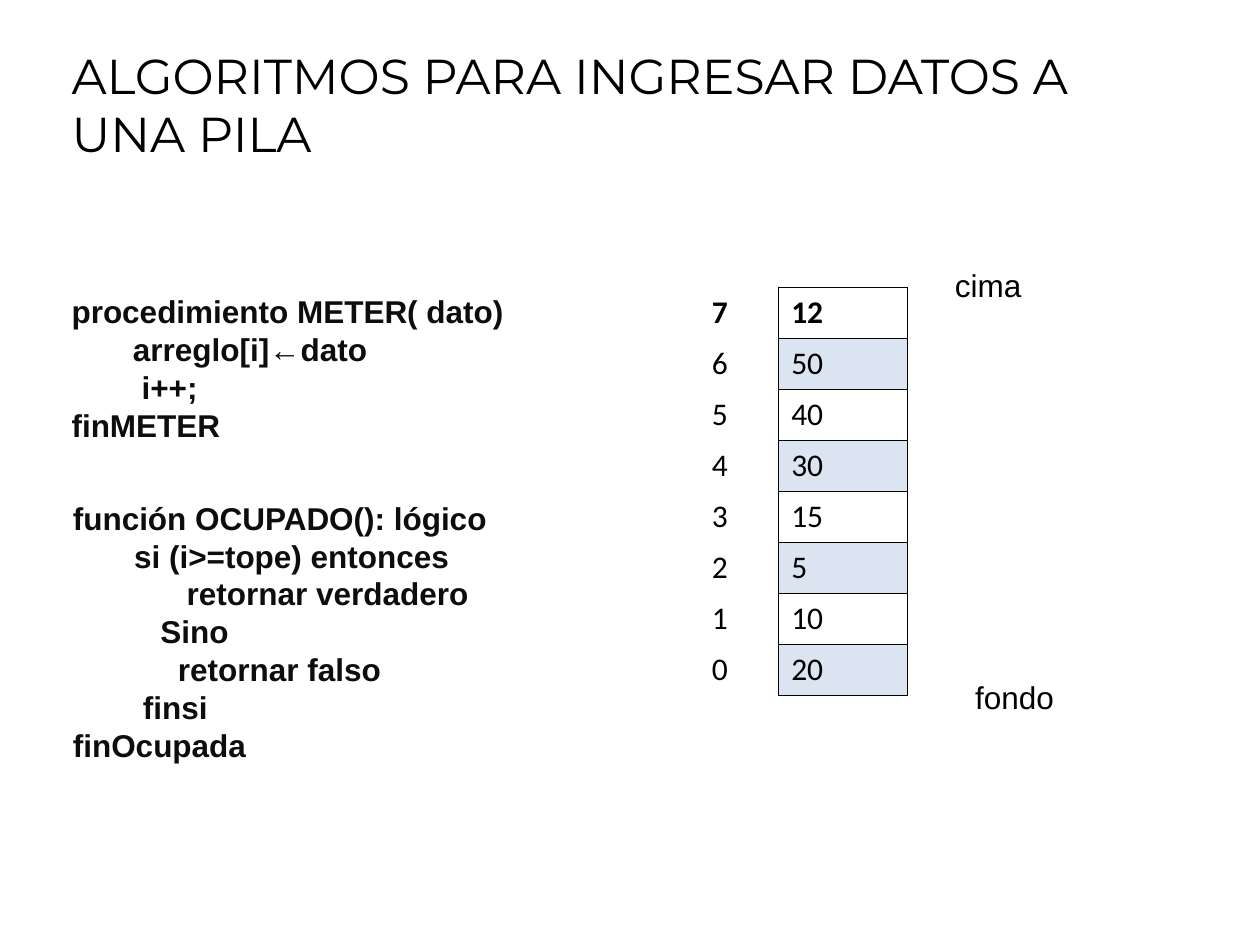
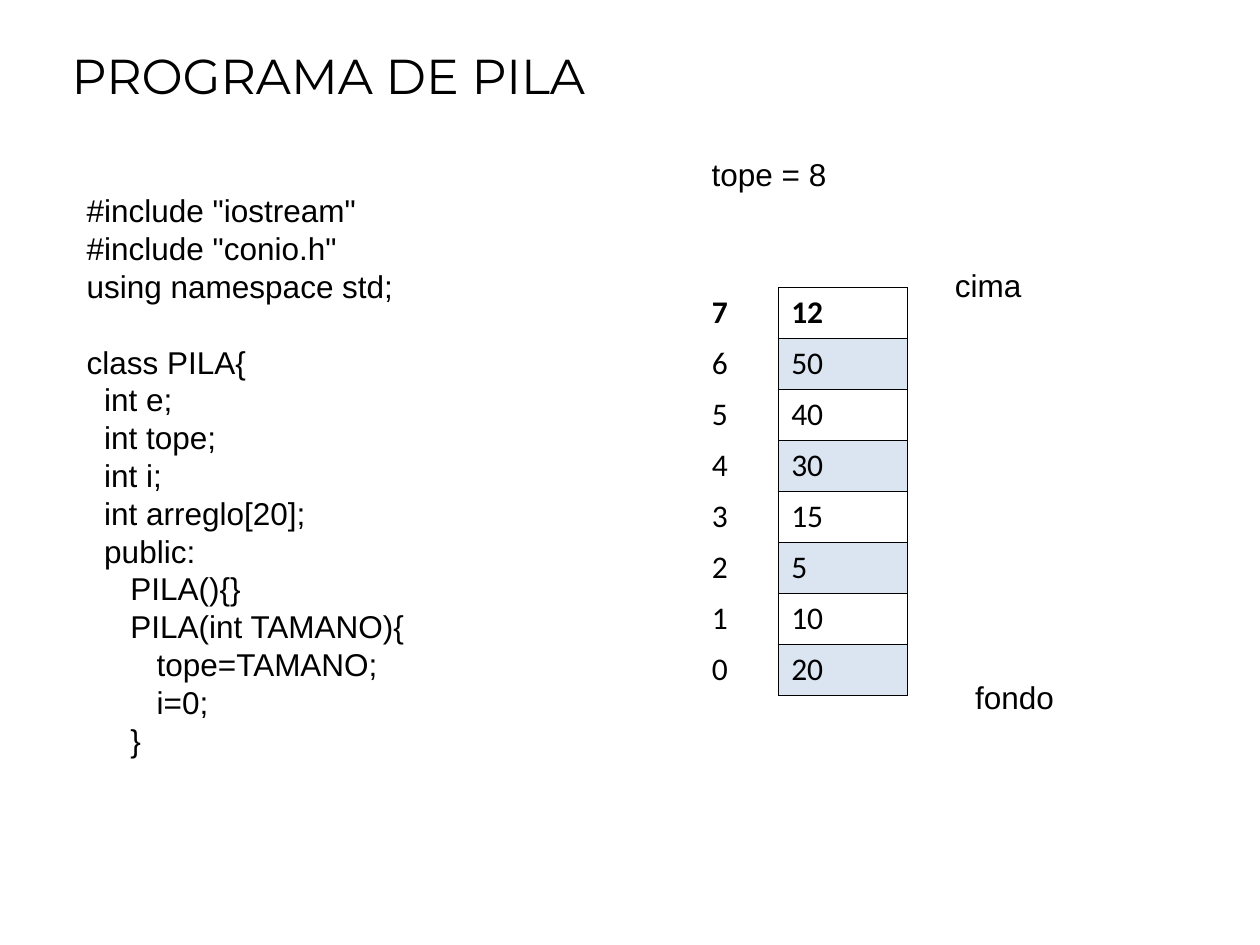
from lxml import etree
from pptx import Presentation
from pptx.dml.color import RGBColor
from pptx.enum.text import MSO_AUTO_SIZE
from pptx.oxml.ns import qn
from pptx.util import Emu, Pt

PX = 9144  # EMU per px, 100 px to the inch
FIT_SHAPE = MSO_AUTO_SIZE.SHAPE_TO_FIT_TEXT
COLORS = {"text": "000000", "code": "0D0D0D", "paper": "FFFFFF", "band": "4F81BD"}
BAND_ALPHA = 20000
BORDER = 5715  # EMU, 0.45 pt
SPACE_PT = 5  # one indent step in code, in points
STACK = [12, 50, 40, 30, 15, 5, 10, 20]  # top to bottom


def px(n):
    return Emu(n * PX)


class Deck:
    """Holds the style and the current slide."""

    def __init__(self):
        self.prs = Presentation()
        self.prs.slide_width, self.prs.slide_height = px(1000), px(750)
        self.s = None

    def slide(self, title, title_height):
        self.s = self.prs.slides.add_slide(self.prs.slide_layouts[6])
        fill = self.s.background.fill
        fill.solid()
        fill.fore_color.rgb = RGBColor.from_string(COLORS["paper"])
        self.text((47, 31, 859, title_height), [(0, title)], "Montserrat", 28)

    def run(self, p, text, font, size, color="text", bold=False):
        r = p.add_run()
        r.text = text
        r.font.name, r.font.size, r.font.bold = font, Pt(size), bold
        r.font.color.rgb = RGBColor.from_string(COLORS[color])

    def text(self, box, lines, font="Arial", size=18, color="text", bold=False,
             gap_before=()):
        """Lines are (indent steps, text); gap_before lists lines set off by a gap."""
        tf = self.s.shapes.add_textbox(*map(px, box)).text_frame
        tf.word_wrap = True
        tf.auto_size = FIT_SHAPE
        for i, (indent, line) in enumerate(lines):
            p = tf.add_paragraph() if i else tf.paragraphs[0]
            p.line_spacing = Pt(size * 1.2)
            if i in gap_before:
                p.space_before = p.line_spacing
            if indent:
                p._p.get_or_add_pPr().set("marL", str(Pt(indent * SPACE_PT)))
            self.run(p, line, font, size, color, bold)

    def cell(self, cell, text, bold, fill, bordered):
        """bordered names the sides that get a line; the others get none."""
        self.run(cell.text_frame.paragraphs[0], text, "Calibri", 18, bold=bold)
        tc_pr = cell._tc.get_or_add_tcPr()
        for side in "LRTB":
            ln = etree.SubElement(tc_pr, qn(f"a:ln{side}"), w=str(BORDER))
            if side in bordered:
                solid = etree.SubElement(ln, qn("a:solidFill"))
                etree.SubElement(solid, qn("a:srgbClr"), val=COLORS["text"])
            else:
                etree.SubElement(ln, qn("a:noFill"))
        if fill is None:
            cell.fill.background()
            return
        cell.fill.solid()
        cell.fill.fore_color.rgb = RGBColor.from_string(COLORS[fill])
        if fill == "band":
            clr = tc_pr.find(qn("a:solidFill")).find(qn("a:srgbClr"))
            etree.SubElement(clr, qn("a:alpha"), val=str(BAND_ALPHA))

    def stack(self):
        """Indexed stack table with its top and bottom labels."""
        n = len(STACK)
        table = self.s.shapes.add_table(n, 2, px(555), px(228), px(165), px(324)).table
        table.first_row = table.horz_banding = False
        table.columns[0].width, table.columns[1].width = px(63), px(102)
        for i, value in enumerate(STACK):
            table.rows[i].height = Emu(px(324) // n)
            top = i == 0
            self.cell(table.cell(i, 0), str(n - 1 - i), top, "paper", "R")
            self.cell(table.cell(i, 1), str(value), top, "band" if i % 2 else None, "LRTB")
        self.text((748, 206, 149, 40), [(0, "cima")])
        self.text((764, 533, 149, 40), [(0, "fondo")])


def main():
    deck = Deck()

    # Slide 1: algorithms
    deck.slide("ALGORITMOS PARA INGRESAR DATOS A UNA PILA", 104)
    deck.text((47, 227, 406, 130), [
        (0, "procedimiento METER( dato)"),
        (7, "arreglo[i]←dato"),
        (8, "i++;"),
        (0, "finMETER"),
    ], color="code", bold=True)
    deck.text((48, 391, 389, 220), [
        (0, "función OCUPADO(): lógico"),
        (7, "si (i>=tope) entonces"),
        (13, "retornar verdadero"),
        (10, "Sino"),
        (12, "retornar falso"),
        (8, "finsi"),
        (0, "finOcupada"),
    ], color="code", bold=True)
    deck.stack()

    # Slide 2: program
    deck.slide("PROGRAMA DE PILA", 57)
    deck.text((59, 147, 500, 460), [
        (0, '#include "iostream"'),
        (0, '#include "conio.h"'),
        (0, "using namespace std;"),
        (0, "class PILA{"),
        (2, "int e;"),
        (2, "int tope;"),
        (2, "int i;"),
        (2, "int arreglo[20];"),
        (2, "public:"),
        (5, "PILA(){}"),
        (5, "PILA(int TAMANO){"),
        (8, "tope=TAMANO;"),
        (8, "i=0;"),
        (5, "}"),
    ], gap_before=(3,))
    deck.stack()
    deck.text((555, 118, 149, 40), [(0, "tope = 8")])

    deck.prs.save("out.pptx")


if __name__ == "__main__":
    main()
